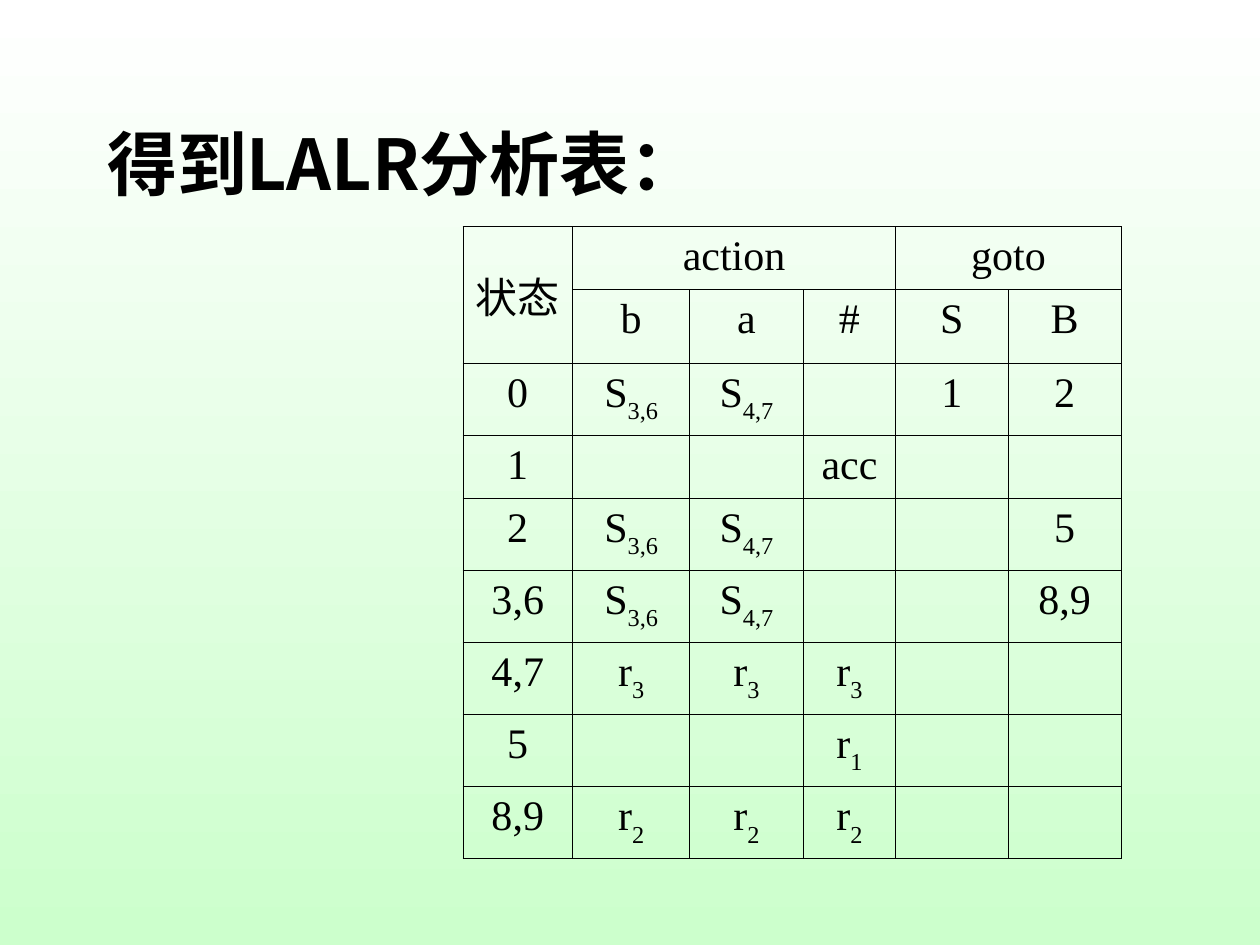
from dataclasses import dataclass

from lxml import etree
from pptx import Presentation
from pptx.dml.color import RGBColor
from pptx.enum.text import MSO_ANCHOR, MSO_AUTO_SIZE, PP_ALIGN
from pptx.oxml.ns import qn
from pptx.util import Pt

LEFT, CENTER = PP_ALIGN.LEFT, PP_ALIGN.CENTER
MIDDLE = MSO_ANCHOR.MIDDLE
BLACK = RGBColor(0x00, 0x00, 0x00)
WHITE = RGBColor(0xFF, 0xFF, 0xFF)
PALE_GREEN = RGBColor(0xCC, 0xFF, 0xCC)
TITLE_FONT = "Noto Sans CJK SC"
TABLE_FONT = "Times New Roman"
INNER_LINE, OUTER_LINE = Pt(0.45), Pt(0.34)
HANGING = Pt(27)


@dataclass(frozen=True)
class Entry:
    text: str = ""
    sub: str = ""


NONE = Entry()
ACCEPT = Entry("acc")
S36, S47 = Entry("S", "3,6"), Entry("S", "4,7")
R1, R2, R3 = (Entry("r", n) for n in "123")

COL_WIDTHS = [62.7, 67, 64.8, 52.9, 64.1, 64.8]
LOW_ROW, TALL_ROW = 36, 41.2
ROWS = [
    [Entry("状态"), Entry("action"), NONE, NONE, Entry("goto"), NONE],
    [NONE] + [Entry(symbol) for symbol in "ba#SB"],
    [Entry("0"), S36, S47, NONE, Entry("1"), Entry("2")],
    [Entry("1"), NONE, NONE, ACCEPT, NONE, NONE],
    [Entry("2"), S36, S47, NONE, NONE, Entry("5")],
    [Entry("3,6"), S36, S47, NONE, NONE, Entry("8,9")],
    [Entry("4,7"), R3, R3, R3, NONE, NONE],
    [Entry("5"), NONE, NONE, R1, NONE, NONE],
    [Entry("8,9"), R2, R2, R2, NONE, NONE],
]
# First and last cell (row, column) of each merged heading
MERGES = [((0, 0), (1, 0)), ((0, 1), (0, 3)), ((0, 4), (0, 5))]


def set_borders(cell, left: int, right: int) -> None:
    """Draw black lines on the four sides of a cell."""
    tcPr = cell._tc.get_or_add_tcPr()
    widths = {"a:lnL": left, "a:lnR": right, "a:lnT": INNER_LINE, "a:lnB": INNER_LINE}
    for i, (tag, width) in enumerate(widths.items()):
        ln = etree.Element(qn(tag), w=str(int(width)))
        fill = etree.SubElement(ln, qn("a:solidFill"))
        etree.SubElement(fill, qn("a:srgbClr"), val=str(BLACK))
        tcPr.insert(i, ln)


def write_entry(cell, entry: Entry) -> None:
    """Write a centred entry with its subscript."""
    p = cell.text_frame.paragraphs[0]
    p.alignment = CENTER
    pPr = p._p.get_or_add_pPr()
    pPr.set("marL", str(int(HANGING)))
    pPr.set("indent", str(-int(HANGING)))
    for text, baseline in ((entry.text, 0), (entry.sub, -30000)):
        if not text:
            continue
        r = p.add_run()
        r.text = text
        r.font.size = Pt(24)
        r.font.name = TABLE_FONT
        r.font.color.rgb = BLACK
        if baseline:
            r._r.get_or_add_rPr().set("baseline", str(baseline))


def add_title(s, text: str) -> None:
    sp = s.shapes.title
    sp.left, sp.top, sp.width, sp.height = Pt(54), Pt(48), Pt(612), Pt(90)
    tf = sp.text_frame
    tf.text = text
    tf.word_wrap = True
    tf.auto_size = MSO_AUTO_SIZE.NONE
    tf.vertical_anchor = MIDDLE
    p = tf.paragraphs[0]
    p.alignment = LEFT
    r = p.runs[0]
    r.font.size = Pt(40)
    r.font.bold = True
    r.font.name = TITLE_FONT
    r.font.color.rgb = BLACK
    etree.SubElement(r._r.get_or_add_rPr(), qn("a:ea"), typeface=TITLE_FONT)


def add_parsing_table(s) -> None:
    heights = [TALL_ROW if any(e.sub for e in row) else LOW_ROW for row in ROWS]
    table = s.shapes.add_table(
        len(ROWS), len(COL_WIDTHS), Pt(264.5), Pt(129.6),
        Pt(sum(COL_WIDTHS)), Pt(sum(heights)),
    ).table
    table.first_row = table.horz_banding = False
    for column, width in zip(table.columns, COL_WIDTHS):
        column.width = Pt(width)
    for row, height in zip(table.rows, heights):
        row.height = Pt(height)

    last = len(COL_WIDTHS) - 1
    for i, row in enumerate(ROWS):
        for j, entry in enumerate(row):
            cell = table.cell(i, j)
            cell.fill.background()
            left = OUTER_LINE if j == 0 and i > 1 else INNER_LINE
            set_borders(cell, left, OUTER_LINE if j == last else INNER_LINE)
            if entry.text:
                write_entry(cell, entry)
    for start, end in MERGES:
        table.cell(*start).merge(table.cell(*end))
    table.cell(0, 0).vertical_anchor = MIDDLE


def main() -> None:
    prs = Presentation()
    prs.slide_width, prs.slide_height = Pt(720), Pt(540)
    s = prs.slides.add_slide(prs.slide_layouts[5])

    # Background fading from white at the top to green
    fill = s.background.fill
    fill.gradient()
    fill.gradient_angle = 270
    for stop, position, color in zip(fill.gradient_stops, (0, 1), (WHITE, PALE_GREEN)):
        stop.position = position
        stop.color.rgb = color

    add_title(s, "得到LALR分析表：")
    add_parsing_table(s)
    prs.save("out.pptx")


if __name__ == "__main__":
    main()
